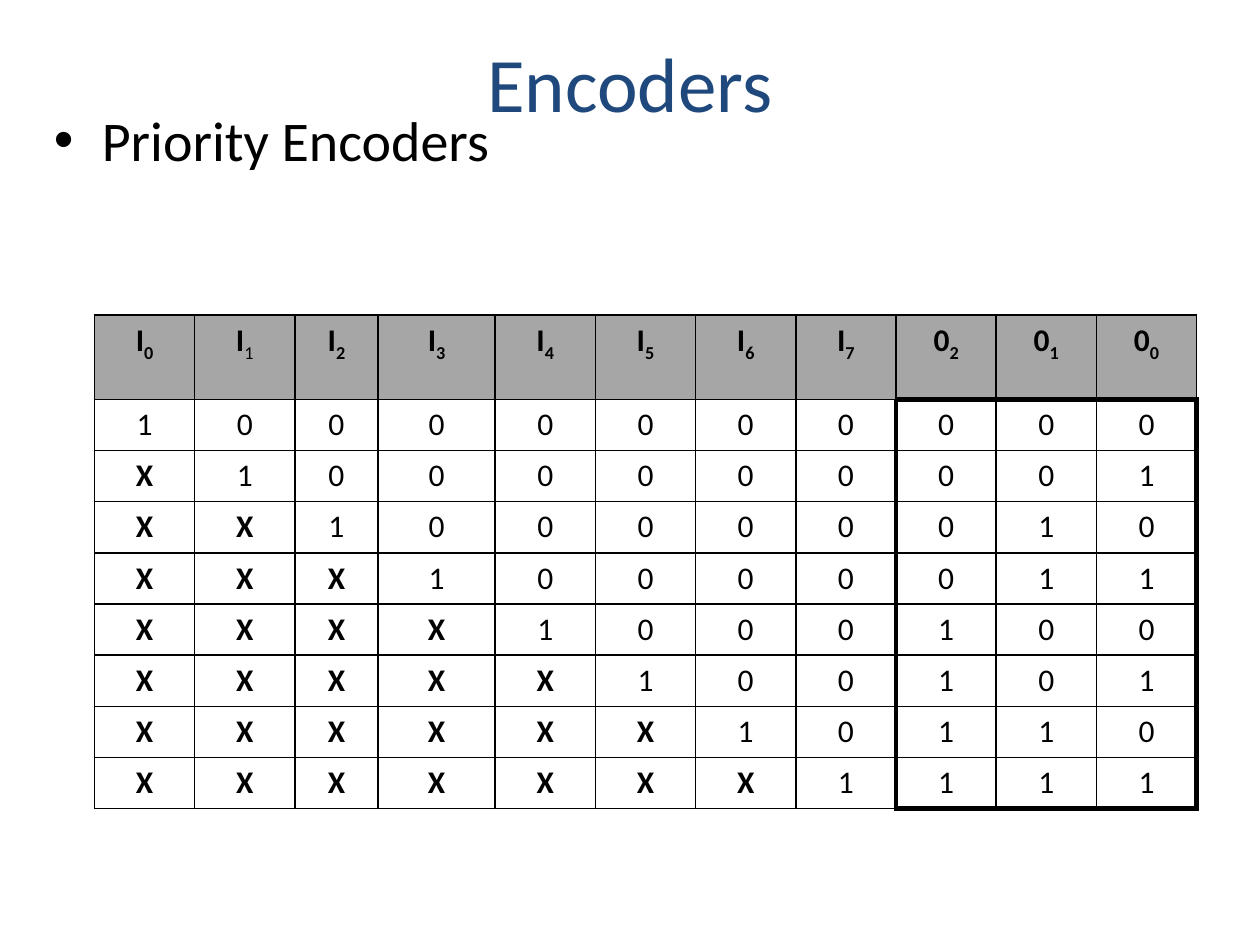
from dataclasses import dataclass

from lxml.etree import SubElement
from pptx import Presentation
from pptx.dml.color import RGBColor as RGB
from pptx.enum.text import MSO_ANCHOR as Anchor, PP_ALIGN as Align
from pptx.oxml.ns import qn
from pptx.util import Inches, Pt


@dataclass(frozen=True)
class Theme:
    font: str = "Calibri"
    title_color: str = "1F497D"
    ink: str = "000000"
    header_fill: str = "A6A6A6"
    title_size: int = 44
    body_size: int = 32
    cell_size: int = 18
    thin: int = 1
    thick: int = 3


THEME = Theme()
INPUTS, OUTPUTS = 8, 3
COLS, ROWS = INPUTS + OUTPUTS, INPUTS + 1
TABLE_LEFT, TABLE_TOP, TABLE_WIDTH, TABLE_HEIGHT = 0.75, 2.5, 8.75, 3.92
HEADER_HEIGHT = 0.67
SPECIAL_WIDTHS = {2: 0.66, 3: 0.93}


def style_run(r, size, color, bold=False):
    r.font.name = THEME.font
    r.font.size = Pt(size)
    r.font.bold = bold
    r.font.color.rgb = RGB.from_string(color)


def add_text(slide, box, text, size, color, align=Align.LEFT, anchor=Anchor.TOP):
    tf = slide.shapes.add_textbox(*map(Inches, box)).text_frame
    tf.word_wrap = True
    tf.vertical_anchor = anchor
    p = tf.paragraphs[0]
    p.text = text
    p.alignment = align
    style_run(p.runs[0], size, color)
    return p


def add_bullet(p):
    pPr = p._p.get_or_add_pPr()
    pPr.set("marL", str(Inches(0.38)))
    pPr.set("indent", str(-Inches(0.38)))
    color = SubElement(pPr, qn("a:buClr"))
    SubElement(color, qn("a:srgbClr"), val=THEME.ink)
    SubElement(pPr, qn("a:buFont"), typeface="Arial")
    SubElement(pPr, qn("a:buChar"), char="•")


def border_widths(row, col):
    thick = {
        "L": row > 0 and col == INPUTS,
        "R": row > 0 and col in (INPUTS - 1, COLS - 1),
        "T": row == 1 and col >= INPUTS,
        "B": row in (0, ROWS - 1) and col >= INPUTS,
    }
    return {side: THEME.thick if on else THEME.thin for side, on in thick.items()}


def set_borders(cell, widths):
    tcPr = cell._tc.get_or_add_tcPr()
    for side, width in widths.items():
        ln = SubElement(tcPr, qn(f"a:ln{side}"), w=str(Pt(width)))
        fill = SubElement(ln, qn("a:solidFill"))
        SubElement(fill, qn("a:srgbClr"), val=THEME.ink)


def fill_header(cell, col):
    is_input = col < INPUTS
    p = cell.text_frame.paragraphs[0]
    name, index = p.add_run(), p.add_run()
    name.text = "I" if is_input else "0"
    index.text = str(col if is_input else COLS - 1 - col)
    style_run(name, THEME.cell_size, THEME.ink, True)
    style_run(index, THEME.cell_size, THEME.ink, col != 1)
    index.font._element.set("baseline", "-25000")
    cell.fill.solid()
    cell.fill.fore_color.rgb = RGB.from_string(THEME.header_fill)


def fill_value(cell, active, col):
    if col >= INPUTS:
        value = format(active, f"0{OUTPUTS}b")[col - INPUTS]
    else:
        value = "X" if col < active else str(int(col == active))
    p = cell.text_frame.paragraphs[0]
    p.text = value
    style_run(p.runs[0], THEME.cell_size, THEME.ink, value == "X")
    cell.fill.background()


def add_truth_table(slide):
    box = TABLE_LEFT, TABLE_TOP, TABLE_WIDTH, TABLE_HEIGHT
    table = slide.shapes.add_table(ROWS, COLS, *map(Inches, box)).table
    table.first_row = table.horz_banding = False
    even_width = (TABLE_WIDTH - sum(SPECIAL_WIDTHS.values())) / (COLS - len(SPECIAL_WIDTHS))
    for i, column in enumerate(table.columns):
        column.width = Inches(SPECIAL_WIDTHS.get(i, even_width))
    for i, row in enumerate(table.rows):
        row.height = Inches((TABLE_HEIGHT - HEADER_HEIGHT) / INPUTS if i else HEADER_HEIGHT)
        for j, cell in enumerate(row.cells):
            set_borders(cell, border_widths(i, j))
            if i:
                fill_value(cell, i - 1, j)
            else:
                fill_header(cell, j)
            cell.text_frame.paragraphs[0].alignment = Align.CENTER


def main():
    prs = Presentation()
    prs.slide_width, prs.slide_height = Inches(10), Inches(7.5)
    slide = prs.slides.add_slide(prs.slide_layouts[6])
    add_text(slide, (0.5, 0.3, 9, 0.7), "Encoders", THEME.title_size,
             THEME.title_color, Align.CENTER, Anchor.MIDDLE)
    add_bullet(add_text(slide, (0.33, 0.79, 9, 0.62), "Priority Encoders",
                        THEME.body_size, THEME.ink))
    add_truth_table(slide)
    prs.save("out.pptx")


if __name__ == "__main__":
    main()
